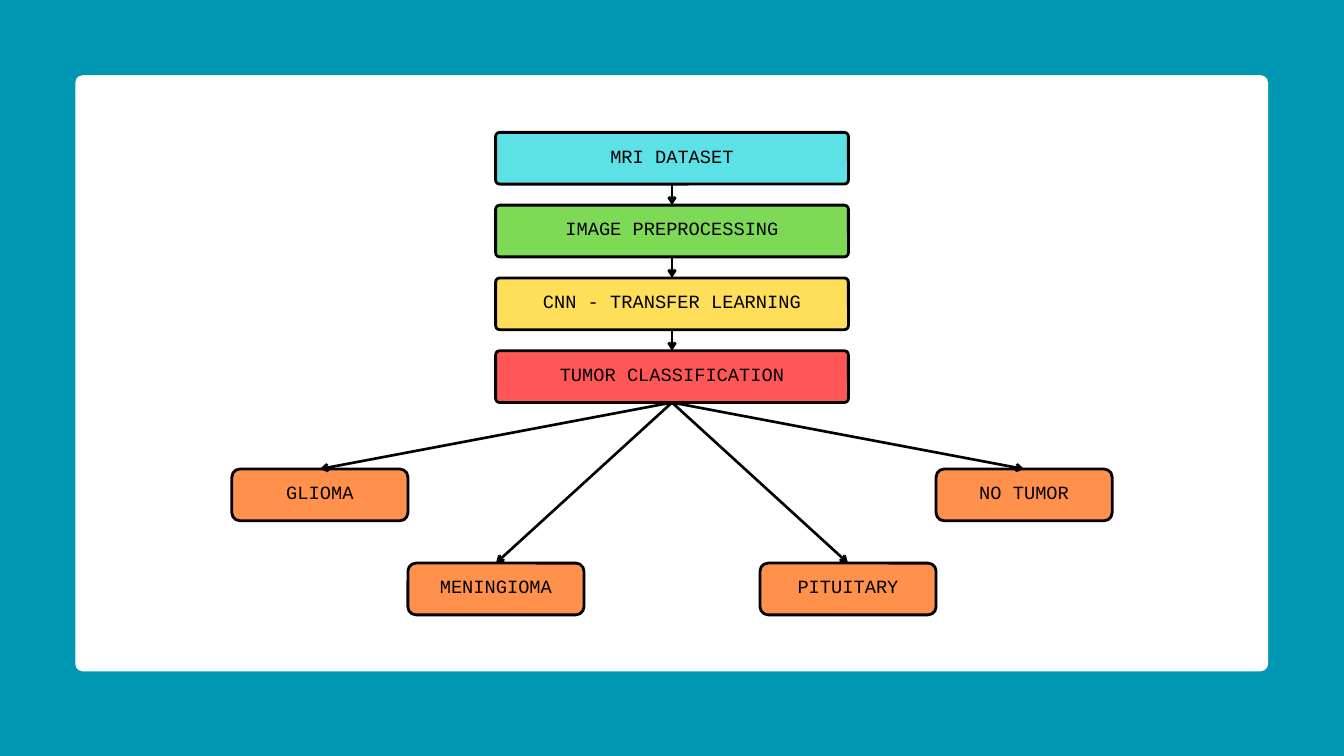
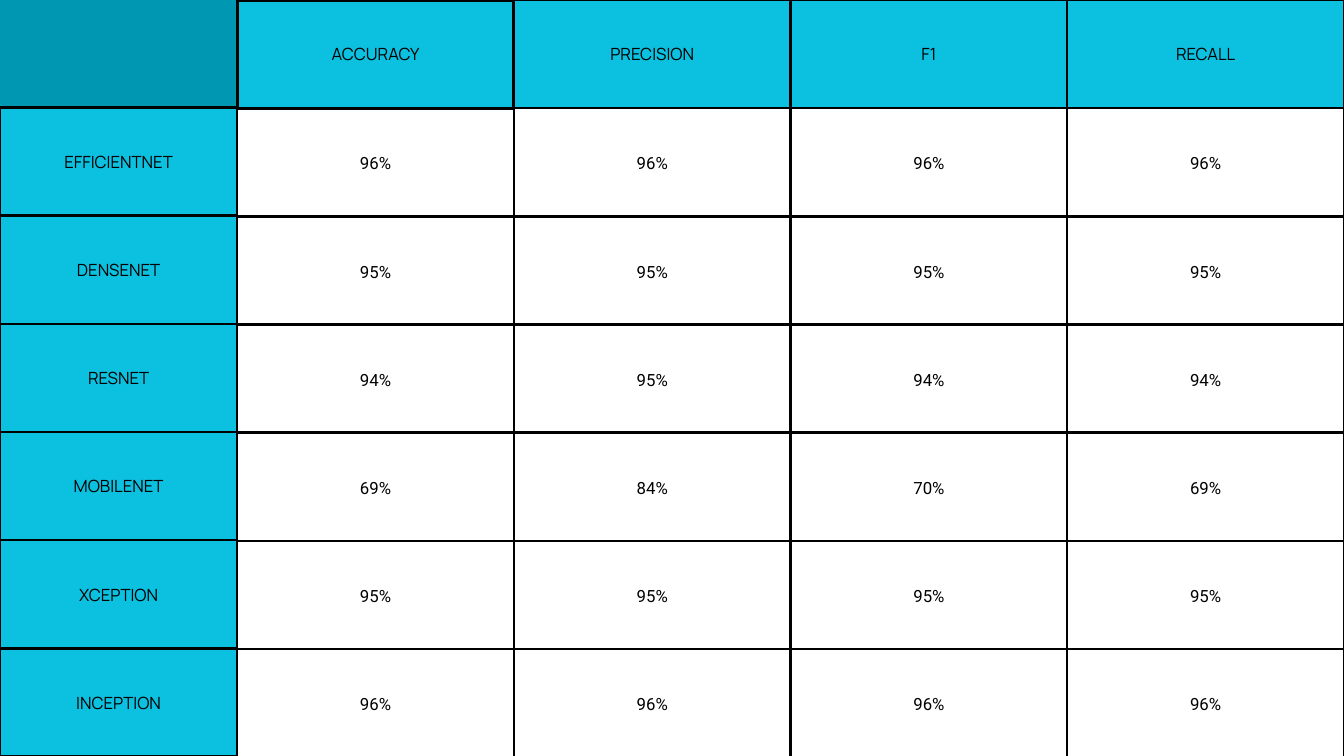
from lxml import etree
from pptx import Presentation
from pptx import util as u
from pptx.dml.color import RGBColor
from pptx.enum import shapes, text
from pptx.oxml.ns import qn

# Shared look
PX = 9144  # one px is a hundredth of an inch
SLIDE_SIZE = (2000, 1125)
TEAL = RGBColor(0x00, 0x97, 0xB2)
CYAN = RGBColor(0x0C, 0xC0, 0xDF)
AQUA = RGBColor(0x5C, 0xE1, 0xE6)
GREEN = RGBColor(0x7E, 0xD9, 0x57)
YELLOW = RGBColor(0xFF, 0xDE, 0x59)
RED = RGBColor(0xFF, 0x57, 0x57)
ORANGE = RGBColor(0xFF, 0x91, 0x4D)
WHITE = RGBColor(0xFF, 0xFF, 0xFF)
BLACK = RGBColor(0x00, 0x00, 0x00)

BOX_FONT = {"name": "Courier New", "size": u.Pt(20)}
LABEL_FONT = {"name": "Manrope", "size": u.Pt(18)}
VALUE_FONT = {"name": "Roboto", "size": u.Pt(18)}

# Flowchart content: stages run downwards, classes fan out (label, column, top)
STAGES = [
    ("MRI DATASET", AQUA),
    ("IMAGE PREPROCESSING", GREEN),
    ("CNN - TRANSFER LEARNING", YELLOW),
    ("TUMOR CLASSIFICATION", RED),
]
CLASSES = [
    ("GLIOMA", -2, 698),
    ("NO TUMOR", 2, 698),
    ("PITUITARY", 1, 838),
    ("MENINGIOMA", -1, 838),
]
PANEL = (112, 112, 1775, 887)
CENTER, STAGE_TOP, STAGE_STEP = 1000, 197, 108.33
STAGE_WIDTH, CLASS_WIDTH, BOX_HEIGHT = 525, 262, 77

# Results content
METRICS = ["ACCURACY", "PRECISION", "F1", "RECALL"]
RESULTS = {
    "EFFICIENTNET": ["96%", "96%", "96%", "96%"],
    "DENSENET": ["95%", "95%", "95%", "95%"],
    "RESNET": ["94%", "95%", "94%", "94%"],
    "MOBILENET": ["69%", "84%", "70%", "69%"],
    "XCEPTION": ["95%", "95%", "95%", "95%"],
    "INCEPTION": ["96%", "96%", "96%", "96%"],
}
MODEL_WIDTH, METRICS_WIDTH, ROW_HEIGHT = 353, 1647, 161


def px(value):
    return u.Emu(round(value * PX))


def set_all(target, values):
    for name, value in values.items():
        setattr(target, name, value)


def write(frame, words, font, spacing):
    paragraph = frame.paragraphs[0]
    paragraph.text = words
    paragraph.alignment = text.PP_ALIGN.CENTER
    paragraph.line_spacing = u.Pt(spacing)
    set_all(paragraph.runs[0].font, font)
    paragraph.runs[0].font.color.rgb = BLACK


def add_slide(presentation):
    slide = presentation.slides.add_slide(presentation.slide_layouts[6])
    slide.background.fill.solid()
    slide.background.fill.fore_color.rgb = TEAL
    return slide


# Flowchart parts
def add_round_box(slide, place, radius, color):
    box = slide.shapes.add_shape(
        shapes.MSO_SHAPE.ROUNDED_RECTANGLE, *map(px, place))
    box.adjustments[0] = radius / place[3]
    box.shadow.inherit = False
    box.fill.solid()
    box.fill.fore_color.rgb = color
    box.line.fill.background()
    return box


def add_step(slide, label, center, top, width, radius, color):
    box = add_round_box(
        slide, (center - width / 2, top, width, BOX_HEIGHT), radius, color)
    box.line.color.rgb = BLACK
    box.line.width = u.Pt(3)
    # The deeper bottom inset offsets the exact line spacing
    set_all(box.text_frame, {
        "word_wrap": True, "vertical_anchor": text.MSO_ANCHOR.MIDDLE,
        "margin_left": px(6), "margin_right": px(6),
        "margin_top": px(6), "margin_bottom": px(19)})
    write(box.text_frame, label, BOX_FONT, 28)
    return box


def add_arrow(slide, start, end):
    arrow = slide.shapes.add_connector(
        shapes.MSO_CONNECTOR.STRAIGHT, 0, 0, 0, 0)
    arrow.begin_connect(start, 2)
    arrow.end_connect(end, 0)
    arrow.line.color.rgb = BLACK
    arrow.line.width = u.Pt(2.83)
    etree.SubElement(arrow.line._get_or_add_ln(), qn("a:tailEnd"), type="arrow")
    etree.SubElement(arrow._element.spPr, qn("a:effectLst"))


def build_flowchart(presentation):
    slide = add_slide(presentation)
    add_round_box(slide, PANEL, 11, WHITE)
    previous = None
    for index, (label, color) in enumerate(STAGES):
        top = STAGE_TOP + index * STAGE_STEP
        stage = add_step(slide, label, CENTER, top, STAGE_WIDTH, 6, color)
        if previous is not None:
            add_arrow(slide, previous, stage)
        previous = stage
    for label, column, top in CLASSES:
        center = CENTER + column * CLASS_WIDTH
        tumor_class = add_step(
            slide, label, center, top, CLASS_WIDTH, 12, ORANGE)
        add_arrow(slide, previous, tumor_class)


# Table parts
def add_border(cell, side, width):
    line = etree.SubElement(
        cell._tc.get_or_add_tcPr(), qn("a:ln" + side), w=str(u.Pt(width)))
    fill = etree.SubElement(line, qn("a:solidFill"))
    etree.SubElement(fill, qn("a:srgbClr"), val=str(BLACK))


def fill_cell(cell, words, font, color, thick_sides):
    for side in "LRTB":
        add_border(cell, side, 3.75 if side in thick_sides else 3)
    cell.fill.solid()
    cell.fill.fore_color.rgb = color
    sides = ("left", "right", "top", "bottom")
    set_all(cell, {f"margin_{side}": px(21) for side in sides})
    cell.vertical_anchor = text.MSO_ANCHOR.MIDDLE
    write(cell.text_frame, words, font, 25.2)


def add_grid(slide, rows, left, top, width, is_label, thick=None):
    thick = thick or {}
    columns = len(rows[0])
    height = ROW_HEIGHT * len(rows)
    table = slide.shapes.add_table(
        len(rows), columns, px(left), px(top), px(width), px(height)).table
    set_all(table, {"first_row": False, "horz_banding": False})
    for column in table.columns:
        column.width = px(width / columns)
    for r, row in enumerate(rows):
        table.rows[r].height = px(ROW_HEIGHT)
        for c, words in enumerate(row):
            font, color = ((LABEL_FONT, CYAN) if is_label(r)
                           else (VALUE_FONT, WHITE))
            fill_cell(table.cell(r, c), words, font, color,
                      thick.get((r, c), ""))


def build_results(presentation):
    slide = add_slide(presentation)
    # The first metric has a heavier frame, shared with its neighbours
    add_grid(slide, [METRICS, *RESULTS.values()], MODEL_WIDTH, 0,
             METRICS_WIDTH, lambda row: row == 0,
             {(0, 0): "LRTB", (0, 1): "L", (1, 0): "T"})
    add_grid(slide, [[model] for model in RESULTS], 0, ROW_HEIGHT - 1,
             MODEL_WIDTH, lambda row: True)


def main():
    presentation = Presentation()
    presentation.slide_width, presentation.slide_height = map(px, SLIDE_SIZE)
    build_flowchart(presentation)
    build_results(presentation)
    presentation.save("out.pptx")


if __name__ == "__main__":
    main()
